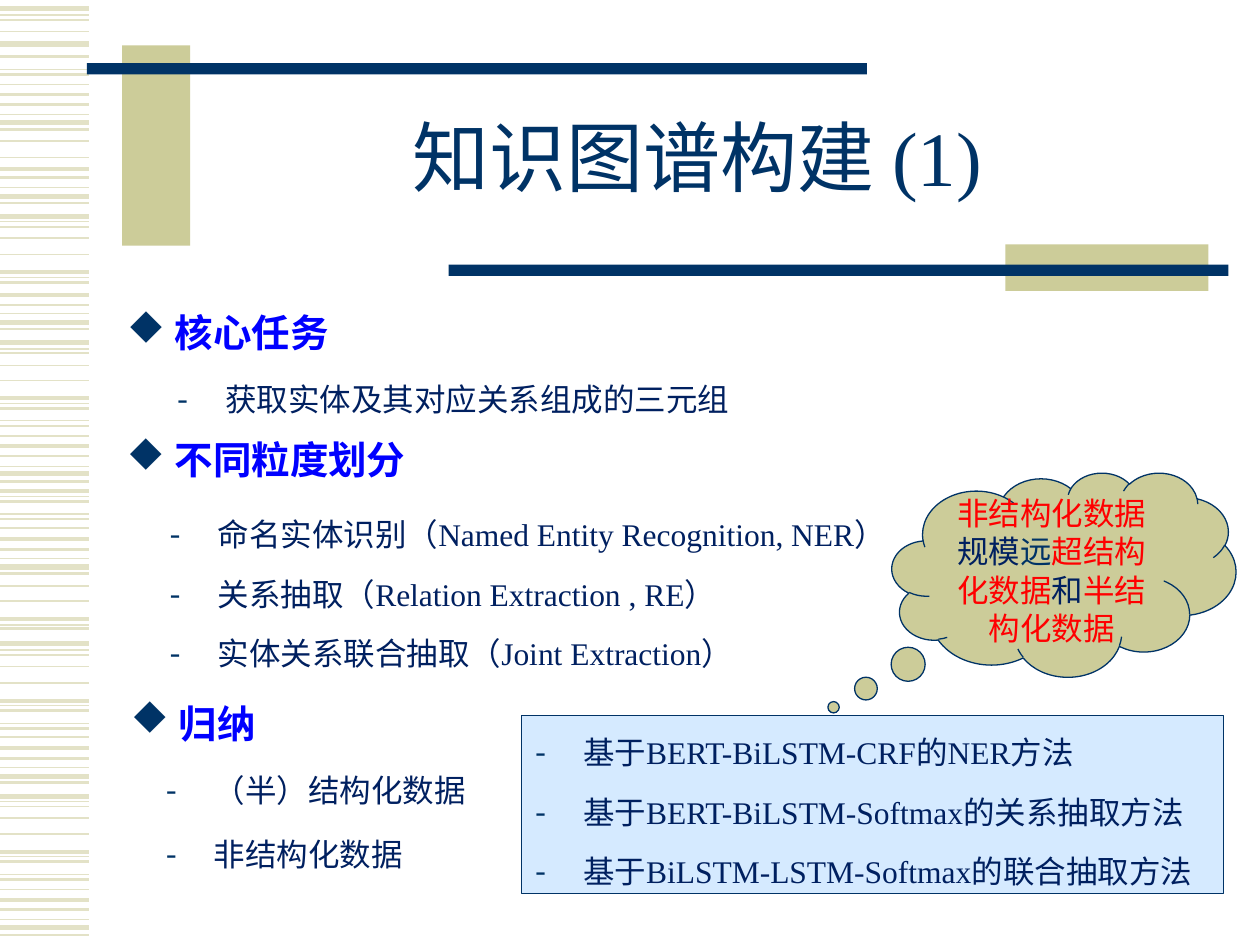
from dataclasses import dataclass

from lxml import etree
from pptx import Presentation
from pptx import util as u
from pptx.dml import color
from pptx.enum import shapes, text
from pptx.oxml import ns


@dataclass(frozen=True)
class Theme:
    font: str = "Times New Roman"
    symbol_font: str = "Wingdings"
    navy: str = "003366"
    ink: str = "002060"
    blue: str = "0000FF"
    red: str = "FF0000"
    khaki: str = "CCCC99"
    stripe: str = "E3E2C7"
    panel: str = "D5EAFF"
    title_size: int = 44
    heading_size: int = 22
    body_size: int = 18


THEME = Theme()
BODY = dict(line_spacing=u.Pt(28), alignment=text.PP_ALIGN.JUSTIFY)
HEADING = dict(line_spacing=u.Pt(26), alignment=text.PP_ALIGN.LEFT)

# Bullets: character, font and its character set
DIAMOND = ("u", dict(typeface=THEME.symbol_font, charset="2"))  # solid diamond
DASH = ("-", dict(typeface=THEME.font))

# Margin stripes: line width in points -> heights on the slide in inches
STRIPES = {
    0.75: [0.12, 0.55, 0.91, 1.49, 1.76, 2.2, 2.49, 2.77, 3.2, 3.34, 3.7, 3.94,
           4.08, 4.43, 4.96, 5.16, 5.6, 5.74, 6.09, 6.36, 6.8, 6.94, 7.3],
    1: [0.16, 0.25, 0.67, 1.12, 1.25, 1.8, 1.89, 2.02, 2.8, 2.9, 3.02, 3.46,
        4.19, 4.65, 4.77, 5.2, 5.29, 5.42, 5.85, 6.4, 6.49, 6.62, 7.06],
    1.5: [0.45, 0.59, 0.83, 1.03, 1.41, 1.61, 2.24, 2.42, 2.61, 3.24, 3.38,
          3.62, 3.82, 3.98, 4.12, 4.36, 4.55, 4.99, 5.64, 5.78, 6.02, 6.21,
          6.84, 6.98, 7.22, 7.42],
    2.25: [0.75, 1.34, 2.16, 2.34, 3.16, 3.54, 3.9, 4.28, 4.91, 5.56, 5.94,
           6.76, 7.14],
    3: [0.07, 0.35, 0.97, 1.56, 1.72, 2.56, 2.72, 3.76, 4.5, 5.11, 6.16, 6.32,
        7.36],
}


def rgb(value):
    return color.RGBColor.from_string(value)


def inches(box):
    return [u.Inches(value) for value in box]


def apply(target, formats):
    for name, value in formats.items():
        setattr(target, name, value)


def add_run(paragraph, words, size, ink, bold=False):
    run = paragraph.add_run()
    run.text = words
    apply(run.font, dict(name=THEME.font, size=u.Pt(size), bold=bold))
    run.font.color.rgb = rgb(ink)


def add_bullet(paragraph, bullet, left, hanging=0.38):
    mark, font = bullet
    props = paragraph._p.get_or_add_pPr()
    props.set("marL", str(u.Inches(left)))
    props.set("indent", str(-u.Inches(hanging)))
    bullet_color = etree.SubElement(props, ns.qn("a:buClr"))
    etree.SubElement(bullet_color, ns.qn("a:srgbClr")).set("val", THEME.navy)
    etree.SubElement(props, ns.qn("a:buFont"), font)
    etree.SubElement(props, ns.qn("a:buChar")).set("char", mark)


def add_filled(slide, kind, box, fill, line_width=None):
    shape = slide.shapes.add_shape(kind, *inches(box))
    shape.shadow.inherit = False
    shape.fill.solid()
    shape.fill.fore_color.rgb = rgb(fill)
    if line_width is None:
        shape.line.fill.background()
    else:
        shape.line.color.rgb = rgb(THEME.navy)
        shape.line.width = u.Pt(line_width)
    return shape


def margin_stripes(slide, left, width):
    for weight, heights in STRIPES.items():
        for y in heights:
            stripe = slide.shapes.add_connector(
                shapes.MSO_CONNECTOR.STRAIGHT, *inches((left, y, left + width, y)))
            stripe.line.color.rgb = rgb(THEME.stripe)
            stripe.line.width = u.Pt(weight)
            etree.SubElement(stripe._element.spPr, ns.qn("a:effectLst"))


def title_region(slide, box):
    # Khaki blocks with navy bars across them
    for block, fill in [((0.97, 0.36, 0.54, 1.59), THEME.khaki),
                        ((0.69, 0.5, 6.19, 0.09), THEME.navy),
                        ((7.98, 1.94, 1.61, 0.37), THEME.khaki),
                        ((3.56, 2.1, 6.19, 0.09), THEME.navy)]:
        add_filled(slide, shapes.MSO_SHAPE.RECTANGLE, block, fill)
    title = slide.shapes.title
    apply(title, dict(zip(("left", "top", "width", "height"), inches(box))))
    apply(title.text_frame, dict(vertical_anchor=text.MSO_ANCHOR.MIDDLE,
                                 auto_size=text.MSO_AUTO_SIZE.NONE))
    paragraph = title.text_frame.paragraphs[0]
    apply(paragraph, dict(alignment=text.PP_ALIGN.CENTER, line_spacing=0.85))
    add_run(paragraph, "知识图谱构建 (1)", THEME.title_size, THEME.navy)


def heading(slide, box, words):
    frame = slide.shapes.add_textbox(*inches(box)).text_frame
    apply(frame, dict(word_wrap=False,
                      auto_size=text.MSO_AUTO_SIZE.SHAPE_TO_FIT_TEXT))
    paragraph = frame.paragraphs[0]
    apply(paragraph, HEADING)
    add_bullet(paragraph, DIAMOND, 0.38)
    add_run(paragraph, words, THEME.heading_size, THEME.blue, bold=True)


def fill_dash_list(frame, items, left):
    apply(frame, dict(word_wrap=True, vertical_anchor=text.MSO_ANCHOR.TOP,
                      auto_size=text.MSO_AUTO_SIZE.SHAPE_TO_FIT_TEXT))
    for index, item in enumerate(items):
        paragraph = frame.add_paragraph() if index else frame.paragraphs[0]
        apply(paragraph, dict(BODY, space_before=u.Pt(6 if index else 0)))
        add_bullet(paragraph, DASH, left)
        add_run(paragraph, item, THEME.body_size, THEME.ink)


def dash_list(slide, box, items):
    frame = slide.shapes.add_textbox(*inches(box)).text_frame
    fill_dash_list(frame, items, 0.87)


def methods_panel(slide, box):
    panel = add_filled(slide, shapes.MSO_SHAPE.RECTANGLE, box, THEME.panel, 0.5)
    fill_dash_list(panel.text_frame, ["基于BERT-BiLSTM-CRF的NER方法",
                                      "基于BERT-BiLSTM-Softmax的关系抽取方法",
                                      "基于BiLSTM-LSTM-Softmax的联合抽取方法"], 0.39)


def data_cloud(slide, box):
    cloud = add_filled(slide, shapes.MSO_SHAPE.CLOUD_CALLOUT, box, THEME.khaki, 0.75)
    # The tail points down to the methods panel
    cloud.adjustments[0], cloud.adjustments[1] = -0.67, 0.65
    apply(cloud.text_frame, dict(word_wrap=True,
                                 vertical_anchor=text.MSO_ANCHOR.MIDDLE))
    paragraph = cloud.text_frame.paragraphs[0]
    apply(paragraph, dict(alignment=text.PP_ALIGN.CENTER,
                          line_spacing=u.Pt(22), space_after=u.Pt(6)))
    for words, ink in [("非结构化数据", THEME.red), ("规模", THEME.ink),
                       ("远", THEME.navy), ("超结构化数据", THEME.red),
                       ("和", THEME.ink), ("半结构化数据", THEME.red)]:
        add_run(paragraph, words, THEME.body_size, ink)


def main():
    deck = Presentation()
    deck.slide_width, deck.slide_height = inches((10, 7.5))
    slide = deck.slides.add_slide(deck.slide_layouts.get_by_name("Title Only"))
    margin_stripes(slide, 0, 0.71)
    title_region(slide, (1.5, 0.67, 8.07, 1.25))
    # Core task
    heading(slide, (0.91, 2.41, 1.82, 0.47), "核心任务")
    dash_list(slide, (0.82, 2.88, 6.15, 0.45), ["获取实体及其对应关系组成的三元组"])
    # Levels of granularity
    heading(slide, (0.91, 3.42, 2.44, 0.47), "不同粒度划分")
    dash_list(slide, (0.76, 3.95, 8.75, 1.41),
              ["命名实体识别（Named Entity Recognition, NER）",
               "关系抽取（Relation Extraction , RE）",
               "实体关系联合抽取（Joint Extraction）"])
    # Summary
    heading(slide, (0.94, 5.51, 1.2, 0.47), "归纳")
    dash_list(slide, (0.73, 5.98, 3.16, 0.45), ["（半）结构化数据"])
    dash_list(slide, (0.73, 6.49, 3, 0.45), ["非结构化数据"])
    methods_panel(slide, (4.14, 5.68, 5.57, 1.41))
    data_cloud(slide, (7.08, 3.75, 2.73, 1.62))
    deck.save("out.pptx")


if __name__ == "__main__":
    main()
